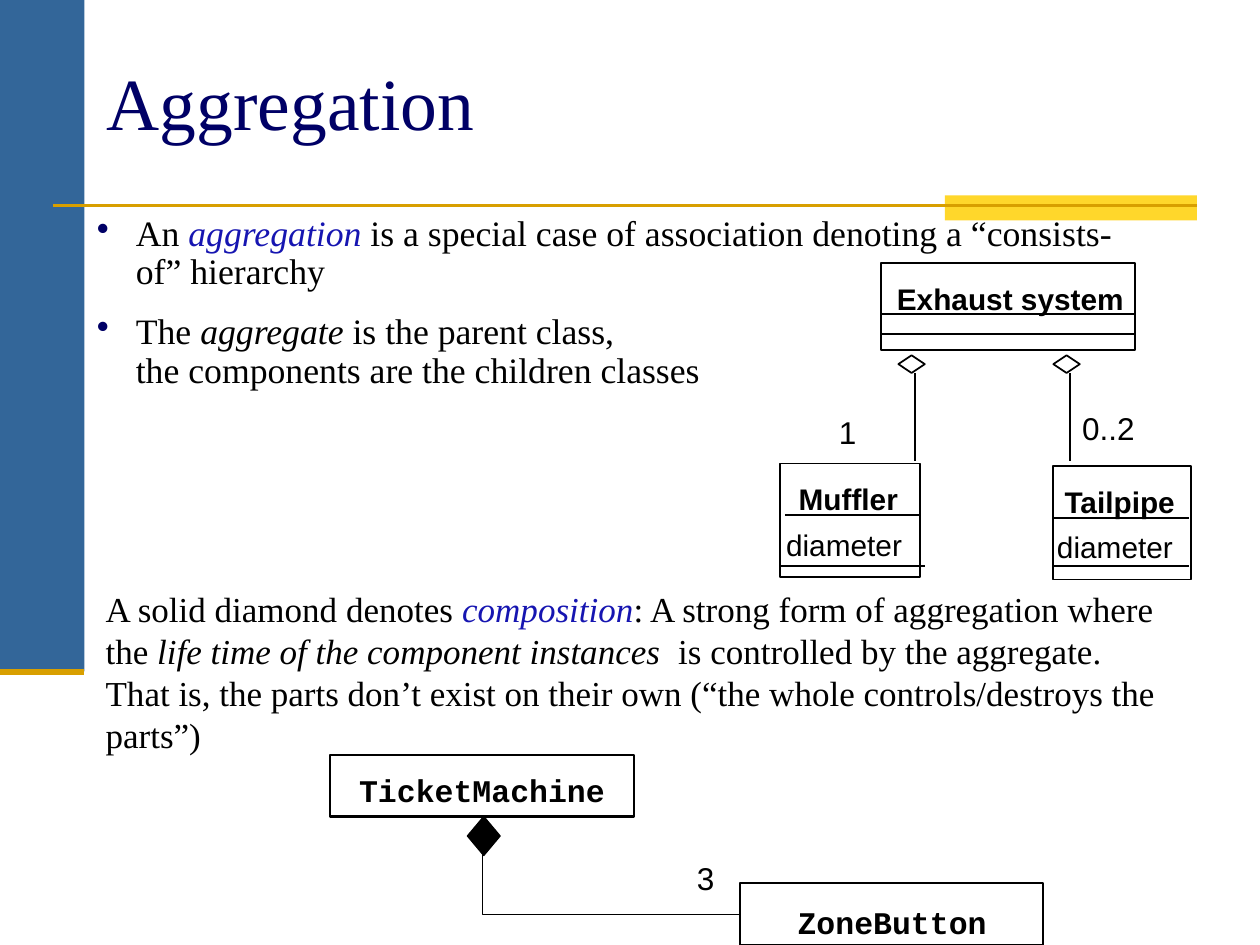
"""Build a slide on UML aggregation and composition with class diagrams."""
from lxml import etree
from pptx import Presentation
from pptx.dml.color import RGBColor
from pptx.enum.shapes import MSO_CONNECTOR, MSO_SHAPE
from pptx.enum.text import MSO_ANCHOR, PP_ALIGN
from pptx.oxml.ns import qn
from pptx.util import Inches, Pt

COLORS = {"navy": "000066", "side": "336699", "yellow": "FFD72B", "gold": "D89F00",
          "term": "1615B1", "black": "000000", "white": "FFFFFF"}
SERIF, SANS, MONO = "Times New Roman", "Arial", "Courier New"

TITLE = [[("Aggregation", "navy")]]
BULLETS = [
    [("An ", "plain"), ("aggregation", "term"),
     (" is a special case of association denoting a “consists-of” hierarchy", "plain")],
    [("The ", "plain"), ("aggregate", "italic"),
     (" is the parent class, \nthe components are the children classes", "plain")],
]
COMPOSITION = [[
    ("A solid diamond denotes ", "plain"), ("composition", "term"),
    (": A strong form of aggregation where the ", "plain"),
    ("life time of the component instances", "italic"),
    ("  is controlled by the aggregate. That is, the parts don’t exist on their own "
     "(“the whole controls/destroys the parts”)", "plain"),
]]
STYLES = {"plain": ("black", False, False), "italic": ("black", False, True),
          "term": ("term", False, True), "bold": ("black", True, False),
          "navy": ("navy", False, False)}

CLASSES = [
    {"box": (6.99, 2.09, 2.02, 0.69), "rules": [(7, 9.01, 2.49), (7, 9.01, 2.65)],
     "texts": [("Exhaust system", "bold", (7.02, 2.18, 2, 0.38))]},
    {"box": (6.19, 3.68, 1.11, 0.9), "rules": [(6.23, 7.31, 4.09), (6.2, 7.34, 4.49)],
     "texts": [("Muffler", "bold", (6.24, 3.77, 0.99, 0.38)),
               ("diameter", "plain", (6.14, 4.13, 1.12, 0.38))]},
    {"box": (8.36, 3.7, 1.09, 0.9), "rules": [(8.36, 9.44, 4.11), (8.36, 9.44, 4.49)],
     "texts": [("Tailpipe", "bold", (8.35, 3.79, 1.09, 0.38)),
               ("diameter", "plain", (8.29, 4.15, 1.12, 0.38))]},
]
AGGREGATIONS = [("1", 7.13, 7.26, (6.56, 3.23)), ("0..2", 8.36, 8.49, (8.49, 3.2))]
COMPOSITES = [("TicketMachine", (2.62, 5.99), (2.85, 6.12, 1.95, 0.3)),
              ("ZoneButton", (5.87, 7.01), (6.33, 7.17, 1.5, 0.3))]
COMPOSITE_SIZE = (2.41, 0.49)

presentation = Presentation()
presentation.slide_width, presentation.slide_height = Inches(10), Inches(7.5)
slide = presentation.slides.add_slide(presentation.slide_layouts[6])


def color(name):
    return RGBColor.from_string(COLORS[name])


def add_box(area, fill=None, line=None, width=1, kind=MSO_SHAPE.RECTANGLE):
    shape = slide.shapes.add_shape(kind, *map(Inches, area))
    shape.shadow.inherit = False
    if fill:
        shape.fill.solid()
        shape.fill.fore_color.rgb = color(fill)
    else:
        shape.fill.background()
    if line:
        shape.line.color.rgb = color(line)
        shape.line.width = Pt(width)
    else:
        shape.line.fill.background()


def add_line(start, end, line="black", width=1, kind=MSO_CONNECTOR.STRAIGHT):
    connector = slide.shapes.add_connector(kind, *map(Inches, (*start, *end)))
    connector.line.color.rgb = color(line)
    connector.line.width = Pt(width)
    etree.SubElement(connector.element.spPr, qn("a:effectLst"))
    return connector


def add_text(area, paragraphs, font, size, wrap=True, align=PP_ALIGN.LEFT,
             anchor=MSO_ANCHOR.TOP, inset=True):
    frame = slide.shapes.add_textbox(*map(Inches, area)).text_frame
    frame.word_wrap = wrap
    frame.vertical_anchor = anchor
    frame.margin_left = frame.margin_right = Inches(0.1 if inset else 0)
    frame.margin_top = frame.margin_bottom = Inches(0.05 if inset else 0)
    for index, runs in enumerate(paragraphs):
        paragraph = frame.add_paragraph() if index else frame.paragraphs[0]
        paragraph.alignment = align
        for text, style in runs:
            name, bold, italic = STYLES[style]
            for part, line in enumerate(text.split("\n")):
                if part:
                    paragraph.add_line_break()
                run = paragraph.add_run()
                run.text = line
                run.font.name, run.font.size = font, Pt(size)
                run.font.bold, run.font.italic = bold, italic
                run.font.color.rgb = color(name)
    return frame


def add_bullet(paragraph):
    paragraph.line_spacing = 0.9
    paragraph.space_before = paragraph.space_after = Pt(6)
    properties = paragraph._p.get_or_add_pPr()
    properties.set("marL", str(Inches(0.31)))
    properties.set("indent", str(-Inches(0.31)))
    bullet_color = etree.SubElement(properties, qn("a:buClr"))
    etree.SubElement(bullet_color, qn("a:srgbClr"), val=COLORS["navy"])
    etree.SubElement(properties, qn("a:buChar"), char="•")


add_box((0, 0, 0.67, 5.33), "side")
add_box((7.5, 1.55, 2, 0.2), "yellow")
add_line((0.42, 1.63), (9.5, 1.63), "gold", 1.5)
add_line((0, 5.33), (0.67, 5.33), "gold", 3.5)

add_text((0.75, 0.25, 8.27, 1.1), TITLE, SERIF, 42, anchor=MSO_ANCHOR.MIDDLE)
body = add_text((0.67, 1.66, 8.56, 1.61), BULLETS, SERIF, 20.4)
for bullet_paragraph in body.paragraphs:
    add_bullet(bullet_paragraph)

for uml_class in CLASSES:
    add_box(uml_class["box"], line="black")
    for label, style, area in uml_class["texts"]:
        add_text(area, [[(label, style)]], SANS, 17, wrap=False)
    for left, right, y in uml_class["rules"]:
        add_line((left, y), (right, y))

for count, diamond_left, line_x, label_at in AGGREGATIONS:
    add_box((diamond_left, 2.82, 0.21, 0.14), "white", "black", kind=MSO_SHAPE.DIAMOND)
    add_line((line_x, 2.96), (line_x, 3.66))
    add_text((*label_at, 0.88, 0.4), [[(count, "plain")]], SANS, 18)

for label, corner, area in COMPOSITES:
    add_box((*corner, *COMPOSITE_SIZE), line="black", width=1.25)
    add_text(area, [[(label, "bold")]], MONO, 18, wrap=False,
             align=PP_ALIGN.CENTER, inset=False)

elbow = add_line((5.24, 5.85), (4.46, 7.89), width=0.75, kind=MSO_CONNECTOR.ELBOW)
elbow.element.spPr.find(qn("a:xfrm")).set("rot", str(270 * 60000))
elbow.element.spPr.find(qn("a:prstGeom")).set("prst", "bentConnector2")
add_box((3.71, 6.48, 0.26, 0.31), "black", "black", 0.75, MSO_SHAPE.DIAMOND)
add_text((5.43, 6.77, 0.34, 0.4), [[("3", "plain")]], SANS, 18, wrap=False,
         align=PP_ALIGN.CENTER, anchor=MSO_ANCHOR.MIDDLE)

add_text((0.74, 4.61, 8.56, 1.43), COMPOSITION, SERIF, 20)

presentation.save("out.pptx")
